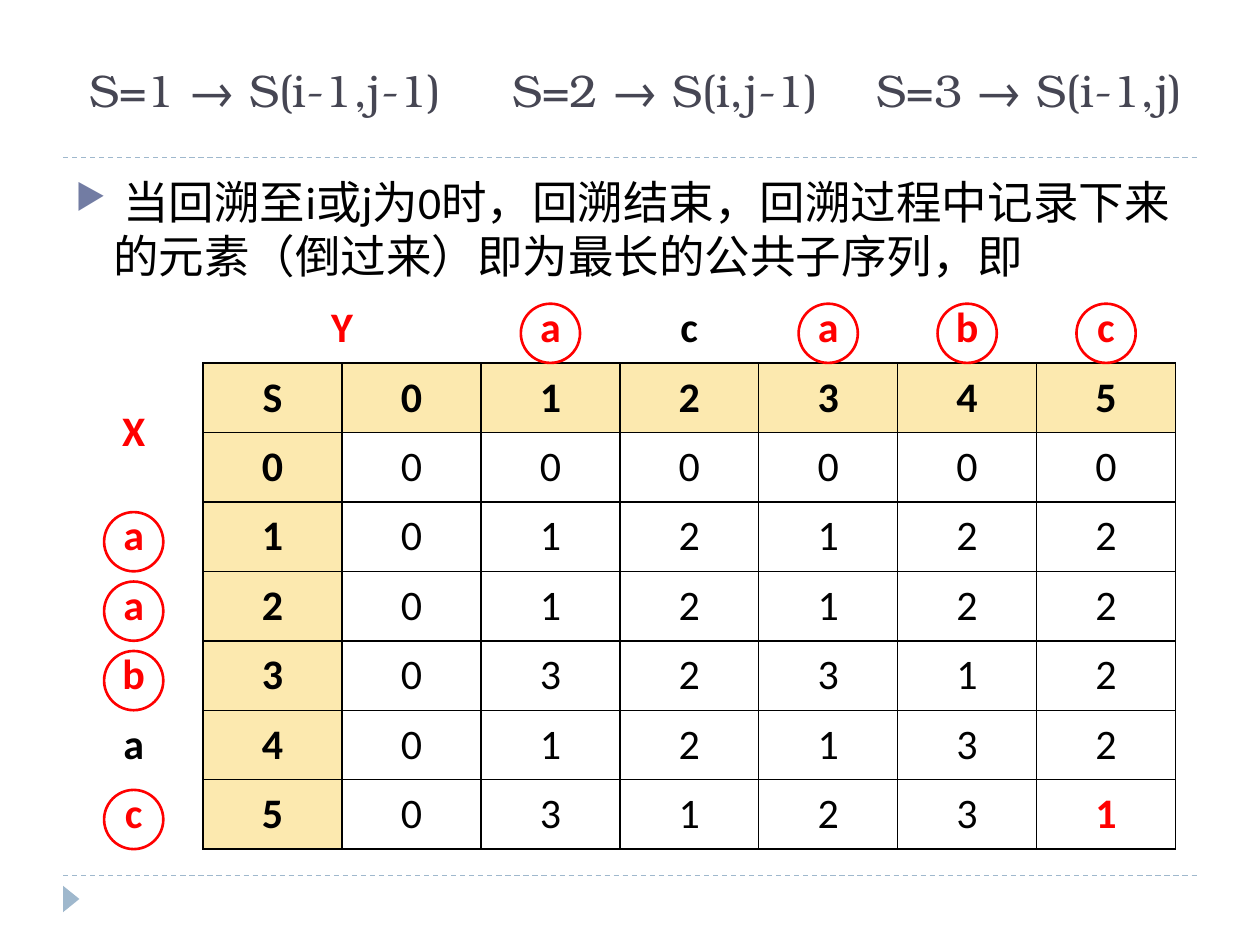
import pptx
import pptx.dml.color
import pptx.enum.dml
import pptx.enum.shapes
import pptx.enum.text
import pptx.oxml
import pptx.oxml.ns
import pptx.util
import lxml.etree

RED, BLACK, WHITE = "FF0000", "000000", "FFFFFF"
INK, MIST, SLATE, CREAM = "464653", "9FB8CD", "727CA3", "FCE9AF"
TABLE_LEFT, TABLE_TOP, TABLE_WIDTH, TABLE_HEIGHT = 0.51, 2.33, 8.82, 4.41
COUNT = 8
COLUMN, ROW = TABLE_WIDTH / COUNT, TABLE_HEIGHT / COUNT
RING = 0.47

GRID = [
    ["", "Y", "", "a", "c", "a", "b", "c"],
    ["X", "S", "0", "1", "2", "3", "4", "5"],
    ["", "0", "0", "0", "0", "0", "0", "0"],
    ["a", "1", "0", "1", "2", "1", "2", "2"],
    ["a", "2", "0", "1", "2", "1", "2", "2"],
    ["b", "3", "0", "3", "2", "3", "1", "2"],
    ["a", "4", "0", "1", "2", "1", "3", "2"],
    ["c", "5", "0", "3", "1", "2", "3", "1"],
]
MATCHES = [(0, 3), (0, 5), (0, 6), (0, 7), (3, 0), (4, 0), (5, 0), (7, 0)]
RED_CELLS = MATCHES + [(0, 1), (1, 0), (7, 7)]


def color(value):
    return pptx.dml.color.RGBColor.from_string(value)


def element(parent, tag, **attributes):
    return lxml.etree.SubElement(parent, pptx.oxml.ns.qn(tag), attributes)


class Board:
    def __init__(self, slide):
        self.slide = slide
        self.body_font = "Calibri"
        self.title_font = "TeX Gyre Bonum"

    def box(self, left, top, width, height):
        return [pptx.util.Inches(value) for value in (left, top, width, height)]

    def style(self, paragraph, name, size, ink, bold=False):
        font = paragraph.font
        font.name, font.size, font.bold = name, pptx.util.Pt(size), bold
        font.color.rgb = color(ink)

    def rule(self, top):
        ends = self.box(0.5, top, 9.5, top)
        line = self.slide.shapes.add_connector(
            pptx.enum.shapes.MSO_CONNECTOR.STRAIGHT, *ends)
        line.line.color.rgb = color(MIST)
        line.line.width = pptx.util.Pt(0.75)
        line.line.dash_style = pptx.enum.dml.MSO_LINE.DASH
        element(line._element.spPr, "a:effectLst")

    def text(self, place, wording, name, size, ink):
        shape = self.slide.shapes.add_textbox(*self.box(*place))
        shape.text_frame.word_wrap = True
        paragraph = shape.text_frame.paragraphs[0]
        paragraph.text = wording
        self.style(paragraph, name, size, ink)
        return shape.text_frame, paragraph._p.get_or_add_pPr()

    def title(self, parts, indent, stops):
        frame, properties = self.text(
            (0.5, 0.17, 9, 1.08), "\t".join(parts), self.title_font, 26, INK)
        frame.vertical_anchor = pptx.enum.text.MSO_ANCHOR.MIDDLE
        properties.set("marL", str(pptx.util.Inches(indent)))
        tabs = pptx.oxml.parse_xml("<a:tabLst %s/>" % pptx.oxml.ns.nsdecls("a"))
        properties.insert(0, tabs)
        for stop in stops:
            element(tabs, "a:tab", pos=str(pptx.util.Inches(stop)), algn="l")

    def bullet(self, wording):
        frame, properties = self.text(
            (0.5, 1.33, 9, 0.97), wording, self.body_font, 26, BLACK)
        frame.paragraphs[0].space_before = pptx.util.Pt(6)
        indent = pptx.util.Inches(0.3)
        properties.set("marL", str(indent))
        properties.set("indent", str(-indent))
        marks = pptx.oxml.parse_xml(
            '<a:pPr %s><a:buClr><a:srgbClr val="%s"/></a:buClr>'
            '<a:buSzPct val="76000"/><a:buChar char="▶"/></a:pPr>'
            % (pptx.oxml.ns.nsdecls("a"), SLATE))
        spacing = properties.find(pptx.oxml.ns.qn("a:spcBef"))
        for mark in reversed(list(marks)):
            spacing.addnext(mark)

    def marker(self):
        shape = self.slide.shapes.add_shape(
            pptx.enum.shapes.MSO_SHAPE.ISOSCELES_TRIANGLE,
            *self.box(0.46, 7.07, 0.21, 0.13))
        shape.rotation = 90
        shape.shadow.inherit = False
        shape.fill.solid()
        shape.fill.fore_color.rgb = color(MIST)
        shape.line.fill.background()

    def ring(self, row, column):
        left = TABLE_LEFT + (column + 0.5) * COLUMN - RING / 2
        top = TABLE_TOP + (row + 0.5) * ROW - RING / 2 + 0.04
        shape = self.slide.shapes.add_shape(
            pptx.enum.shapes.MSO_SHAPE.OVAL, *self.box(left, top, RING, RING))
        shape.shadow.inherit = False
        shape.fill.background()
        shape.line.color.rgb = color(RED)
        shape.line.width = pptx.util.Pt(1.5)

    def borders(self, cell, row, column):
        label = row == 0 or column == 0
        properties = cell._tc.get_or_add_tcPr()
        touching = {"R": column == 0 and row > 0, "B": row == 0 and column > 0}
        for position, side in enumerate("LRTB"):
            ink = BLACK if not label or touching.get(side) else WHITE
            border = pptx.oxml.parse_xml(
                '<a:ln%s %s w="12700"><a:solidFill><a:srgbClr val="%s"/>'
                "</a:solidFill></a:ln%s>"
                % (side, pptx.oxml.ns.nsdecls("a"), ink, side))
            properties.insert(position, border)

    def cell(self, cell, row, column, wording):
        header = row > 0 and column > 0 and 1 in (row, column)
        red = (row, column) in RED_CELLS
        cell.fill.solid()
        cell.fill.fore_color.rgb = color(CREAM if header else WHITE)
        cell.vertical_anchor = pptx.enum.text.MSO_ANCHOR.MIDDLE
        cell.margin_left = cell.margin_right = pptx.util.Inches(0.08)
        cell.margin_top = cell.margin_bottom = pptx.util.Inches(0.04)
        self.borders(cell, row, column)
        if wording:
            paragraph = cell.text_frame.paragraphs[0]
            paragraph.text = wording
            paragraph.alignment = pptx.enum.text.PP_ALIGN.CENTER
            bold = red or min(row, column) < 2 
            if row == 2 and column > 1:
                bold = False
            self.style(paragraph, self.body_font, 24, RED if red else BLACK, bold)

    def table(self):
        table = self.slide.shapes.add_table(COUNT, COUNT, *self.box(
            TABLE_LEFT, TABLE_TOP, TABLE_WIDTH, TABLE_HEIGHT)).table
        table.first_row = table.horz_banding = False
        for row, wordings in enumerate(GRID):
            for column, wording in enumerate(wordings):
                self.cell(table.cell(row, column), row, column, wording)
        table.cell(0, 1).merge(table.cell(0, 2))
        table.cell(1, 0).merge(table.cell(2, 0))


def main():
    presentation = pptx.Presentation()
    presentation.slide_width = pptx.util.Inches(10)
    presentation.slide_height = pptx.util.Inches(7.5)
    board = Board(presentation.slides.add_slide(presentation.slide_layouts[6]))
    for top in (6.95, 1.25):
        board.rule(top)
    board.marker()
    board.title(["S=1 → S(i-1,j-1)", "S=2 → S(i,j-1)", "S=3 → S(i-1,j)"],
                0.11, (3.36, 6.25))
    board.bullet(" 当回溯至i或j为0时，回溯结束，回溯过程中记录下来的元素（倒过来）即为最长的公共子序列，即")
    board.table()
    for row, column in MATCHES:
        board.ring(row, column)
    presentation.save("out.pptx")


if __name__ == "__main__":
    main()
